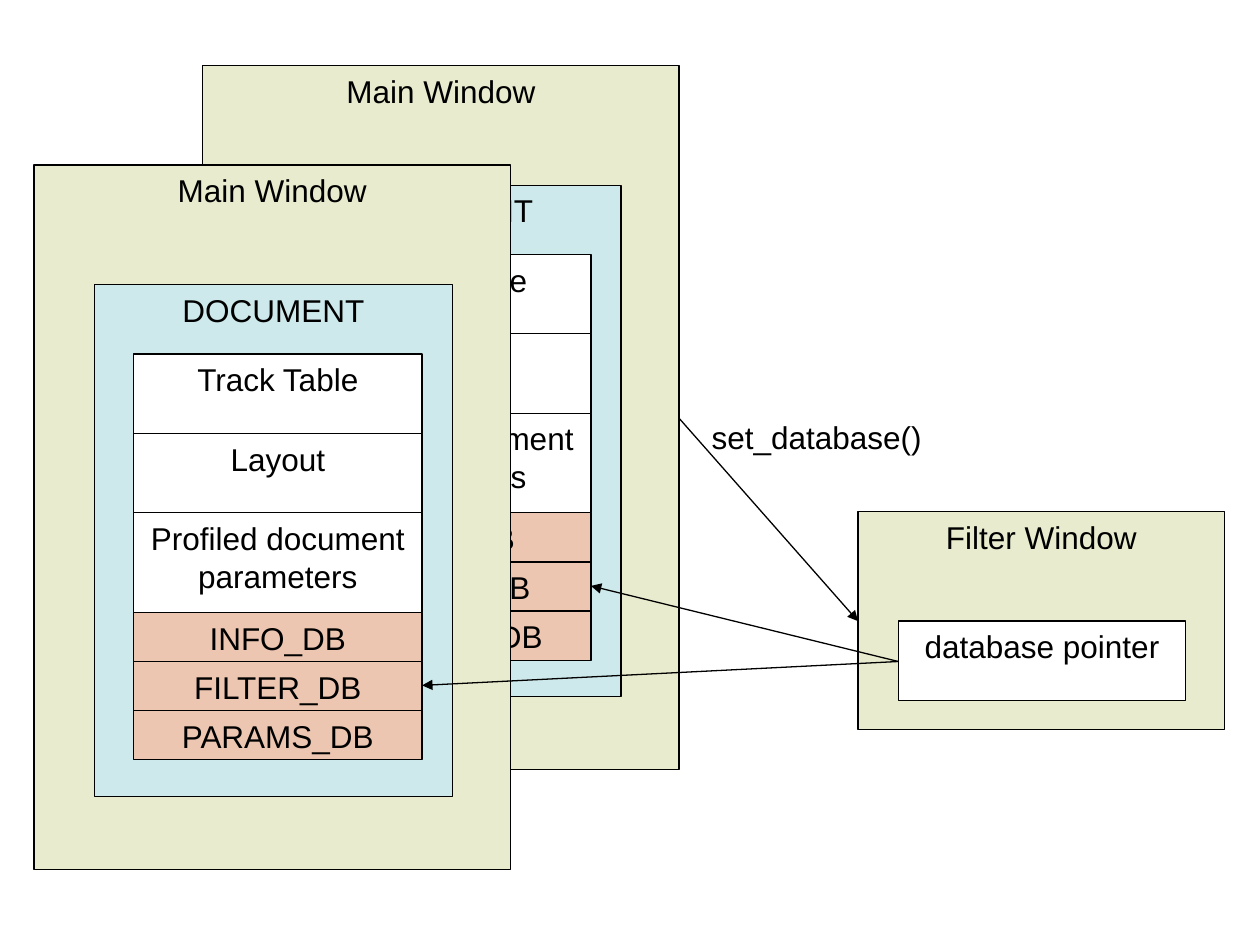
from lxml import etree
from pptx import Presentation
from pptx.dml.color import RGBColor
from pptx.enum.shapes import MSO_CONNECTOR, MSO_SHAPE
from pptx.enum.text import MSO_ANCHOR, MSO_AUTO_SIZE, PP_ALIGN
from pptx.oxml.ns import qn
from pptx.util import Inches, Pt

BLACK = RGBColor(0x00, 0x00, 0x00)
WHITE = RGBColor(0xFF, 0xFF, 0xFF)
GREEN = RGBColor(0xE8, 0xEB, 0xCD)
BLUE = RGBColor(0xCD, 0xE9, 0xEB)
SALMON = RGBColor(0xED, 0xC6, 0xB1)

# Rows of a document: text, height in inches, fill
ROWS = [
    ("Track Table", 0.63, WHITE),
    ("Layout", 0.63, WHITE),
    ("Profiled document\nparameters", 0.79, WHITE),
    ("INFO_DB", 0.39, SALMON),
    ("FILTER_DB", 0.39, SALMON),
    ("PARAMS_DB", 0.39, SALMON),
]


def set_text(sp, text, align):
    tf = sp.text_frame
    tf.word_wrap = False
    tf.vertical_anchor = MSO_ANCHOR.TOP
    tf.text = text
    for p in tf.paragraphs:
        p.alignment = align
        p.font.name = "Arial"
        p.font.size = Pt(18)
        p.font.color.rgb = BLACK


def add_box(shapes, text, x, y, w, h, fill):
    sp = shapes.add_shape(MSO_SHAPE.RECTANGLE, Inches(x), Inches(y), Inches(w), Inches(h))
    sp.shadow.inherit = False
    sp.fill.solid()
    sp.fill.fore_color.rgb = fill
    sp.line.color.rgb = BLACK
    sp.line.width = Pt(0.75)
    set_text(sp, text, PP_ALIGN.CENTER)


def add_arrow(s, start, end):
    points = [Inches(v) for v in (*start, *end)]
    cxn = s.shapes.add_connector(MSO_CONNECTOR.STRAIGHT, *points)
    cxn.line.color.rgb = BLACK
    cxn.line.width = Pt(0.75)
    etree.SubElement(cxn.line._get_or_add_ln(), qn("a:tailEnd"), type="triangle")
    etree.SubElement(cxn._element.spPr, qn("a:effectLst"))


def add_main_window(s, x, y, w, h):
    shapes = s.shapes.add_group_shape().shapes
    add_box(shapes, "Main Window", x, y, w, h, GREEN)
    add_box(shapes, "DOCUMENT", x + 0.48, y + 0.95, w - 0.94, h - 1.53, BLUE)
    top = y + 1.5
    for text, height, fill in ROWS:
        add_box(shapes, text, x + 0.79, top, w - 1.49, height, fill)
        top += height


def add_filter_window(s, x, y, w, h):
    add_box(s.shapes, "Filter Window", x, y, w, h, GREEN)
    add_box(s.shapes, "database pointer", x + 0.32, y + 0.87, w - 0.63, 0.63, WHITE)


def add_label(s, text, x, y, w, h):
    sp = s.shapes.add_textbox(Inches(x), Inches(y), Inches(w), Inches(h))
    set_text(sp, text, PP_ALIGN.LEFT)
    sp.text_frame.auto_size = MSO_AUTO_SIZE.SHAPE_TO_FIT_TEXT


def main():
    prs = Presentation()
    prs.slide_width, prs.slide_height = Inches(10), Inches(7.5)
    s = prs.slides.add_slide(prs.slide_layouts[6])

    # Windows, from back to front
    add_main_window(s, 1.61, 0.52, 3.78, 5.59)
    add_filter_window(s, 6.81, 4.06, 2.91, 1.73)
    add_main_window(s, 0.27, 1.31, 3.78, 5.59)

    # Database pointer to the FILTER_DB row of each document
    pointer = (7.13, 5.25)
    for target in ((4.69, 4.65), (3.35, 5.44)):
        add_arrow(s, pointer, target)

    # Call from the main window to the filter window
    add_label(s, "set_database()", 5.55, 3.27, 1.87, 0.4)
    add_arrow(s, (5.39, 3.32), (6.81, 4.93))

    prs.save("out.pptx")


if __name__ == "__main__":
    main()
